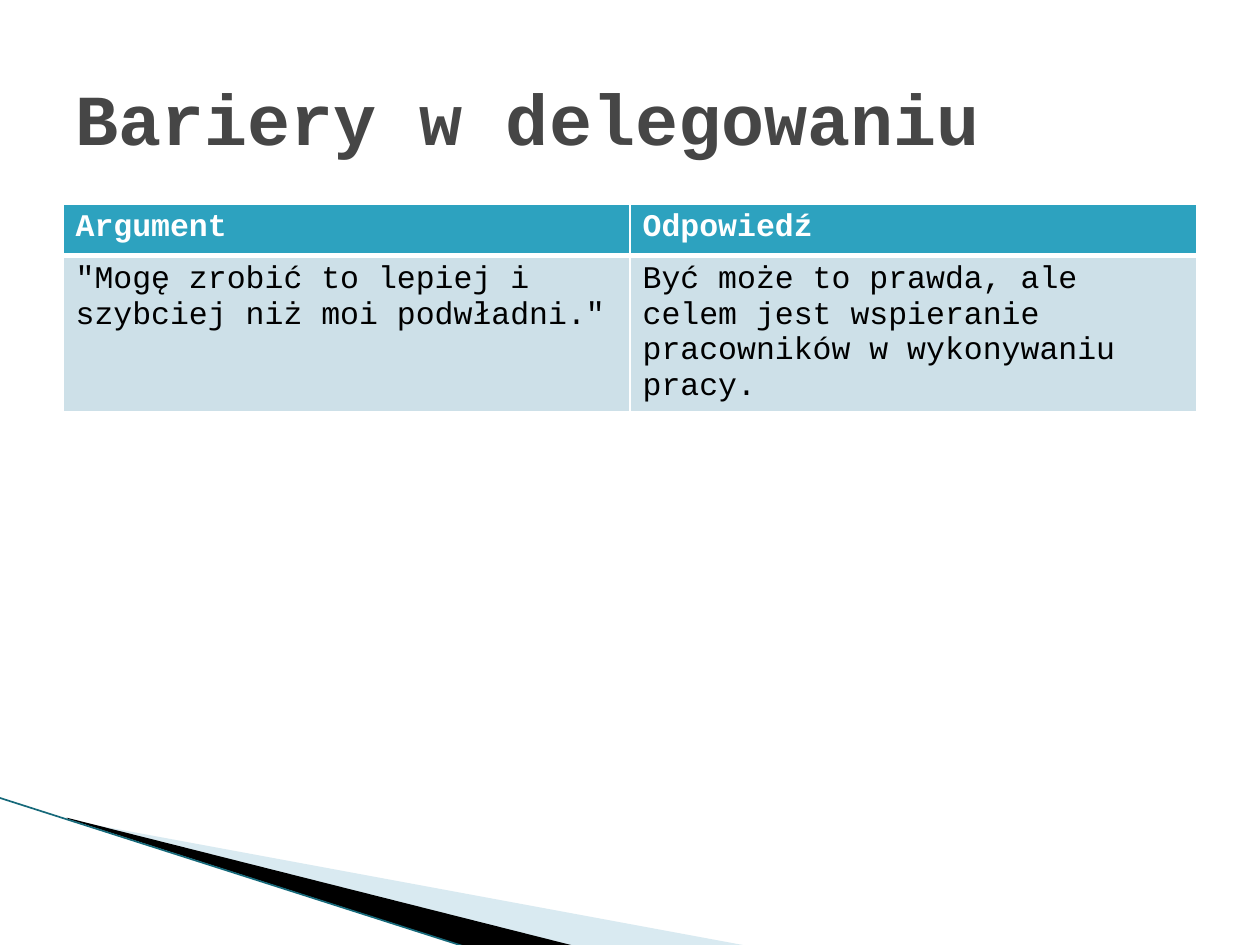
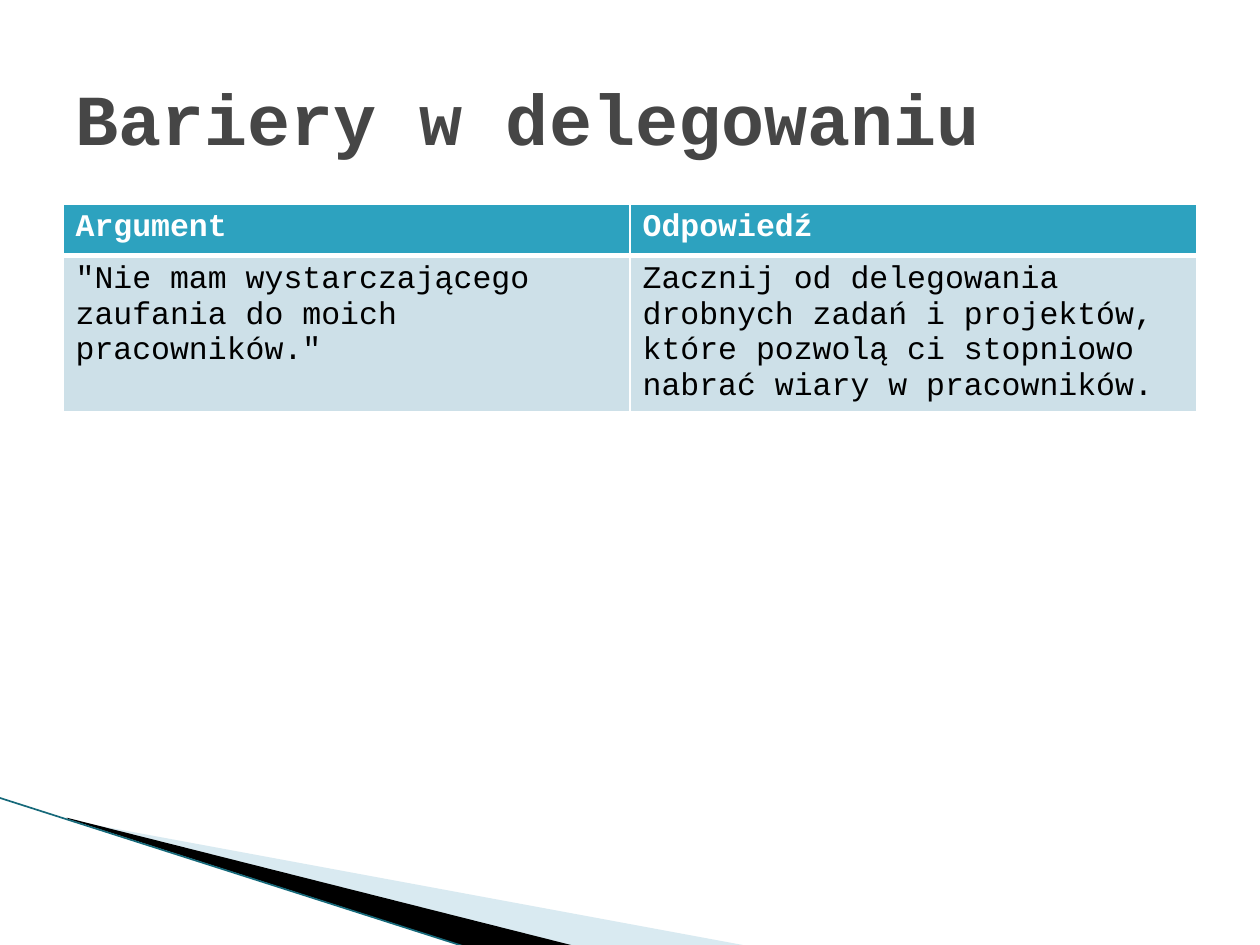
from lxml import etree
from pptx import Presentation
from pptx.dml.color import RGBColor
from pptx.enum.shapes import MSO_CONNECTOR
from pptx.enum.text import MSO_ANCHOR, PP_ALIGN
from pptx.oxml.ns import qn
from pptx.util import Inches, Pt

STRAIGHT = MSO_CONNECTOR.STRAIGHT
MIDDLE = MSO_ANCHOR.MIDDLE
LEFT = PP_ALIGN.LEFT

TITLE = "Bariery w delegowaniu"
HEADINGS = ("Argument", "Odpowiedź")
BARRIERS = [
    ('"Mogę zrobić to lepiej i szybciej niż moi podwładni."',
     "Być może to prawda, ale celem jest wspieranie pracowników w wykonywaniu pracy."),
    ('"Nie mam wystarczającego zaufania do moich pracowników."',
     "Zacznij od delegowania drobnych zadań i projektów, "
     "które pozwolą ci stopniowo nabrać wiary w pracowników."),
]

FONT = "Courier New"
WHITE, BLACK, TITLE_GREY = "FFFFFF", "000000", "464646"
HEADING_FILL, ANSWER_FILL = "2DA2BF", "CDE0E8"
WEDGE_BLUE, EDGE_TEAL = "A0CBDC", "16697A"

MARGIN, CONTENT_WIDTH = 0.5, 9
TITLE_TOP, TITLE_HEIGHT = 0.3, 1.25
TABLE_TOP, ROW_HEIGHTS = 1.62, (0.41, 1.22)
PALE_WEDGE = [(0.55, 6.51), (5.95, 7.51), (4.56, 7.51), (0.55, 6.5)]
DARK_WEDGE = [(0.53, 6.49), (4.57, 7.51), (3.72, 7.52), (0.54, 6.5)]
EDGE = (-0.01, 6.33, 3.71, 7.52)


def color(value):
    return RGBColor.from_string(value)


def write(paragraph, text, size, ink, bold):
    paragraph.alignment = LEFT
    run = paragraph.add_run()
    run.text = text
    run.font.name = FONT
    run.font.size = Pt(size)
    run.font.bold = bold
    run.font.color.rgb = color(ink)


def add_wedge(slide, points, fill, opacity=100):
    corners = [(Inches(x), Inches(y)) for x, y in points]
    builder = slide.shapes.build_freeform(*corners[0])
    builder.add_line_segments(corners[1:], close=True)
    wedge = builder.convert_to_shape()
    wedge.shadow.inherit = False
    wedge.line.fill.background()
    wedge.fill.solid()
    wedge.fill.fore_color.rgb = color(fill)
    if opacity < 100:
        tint = wedge._element.spPr.find(".//" + qn("a:srgbClr"))
        etree.SubElement(tint, qn("a:alpha"), val=str(opacity * 1000))


def add_corner(slide):
    add_wedge(slide, PALE_WEDGE, WEDGE_BLUE, 40)
    add_wedge(slide, DARK_WEDGE, BLACK)
    edge = slide.shapes.add_connector(STRAIGHT, *map(Inches, EDGE))
    edge.line.color.rgb = color(EDGE_TEAL)
    edge.line.width = Pt(0.95)
    etree.SubElement(edge._element.spPr, qn("a:effectLst"))


def add_title(slide):
    title = slide.shapes.title
    title.left, title.top = Inches(MARGIN), Inches(TITLE_TOP)
    title.width, title.height = Inches(CONTENT_WIDTH), Inches(TITLE_HEIGHT)
    title.text_frame.vertical_anchor = MIDDLE
    write(title.text_frame.paragraphs[0], TITLE, 41, TITLE_GREY, True)


def set_borders(cell, top, bottom):
    properties = cell._tc.get_or_add_tcPr()
    for side, width in (("lnL", 1), ("lnR", 1), ("lnT", top), ("lnB", bottom)):
        border = etree.SubElement(properties, qn("a:" + side), w=str(Pt(width)))
        fill = etree.SubElement(border, qn("a:solidFill"))
        etree.SubElement(fill, qn("a:srgbClr"), val=WHITE)


def add_barrier_table(slide, barrier):
    rows = [
        (HEADINGS, HEADING_FILL, WHITE, True, (1, 3)),
        (barrier, ANSWER_FILL, BLACK, False, (3, 1)),
    ]
    table = slide.shapes.add_table(
        len(rows), len(HEADINGS), Inches(MARGIN), Inches(TABLE_TOP),
        Inches(CONTENT_WIDTH), Inches(sum(ROW_HEIGHTS))).table
    for r, (texts, fill, ink, bold, borders) in enumerate(rows):
        table.rows[r].height = Inches(ROW_HEIGHTS[r])
        for c, text in enumerate(texts):
            cell = table.cell(r, c)
            set_borders(cell, *borders)
            cell.fill.solid()
            cell.fill.fore_color.rgb = color(fill)
            write(cell.text_frame.paragraphs[0], text, 18, ink, bold)


def main():
    deck = Presentation()
    deck.slide_width, deck.slide_height = Inches(10), Inches(7.5)
    title_only = deck.slide_layouts[5]
    for barrier in BARRIERS:
        slide = deck.slides.add_slide(title_only)
        add_corner(slide)
        add_barrier_table(slide, barrier)
        add_title(slide)
    deck.save("out.pptx")


if __name__ == "__main__":
    main()
